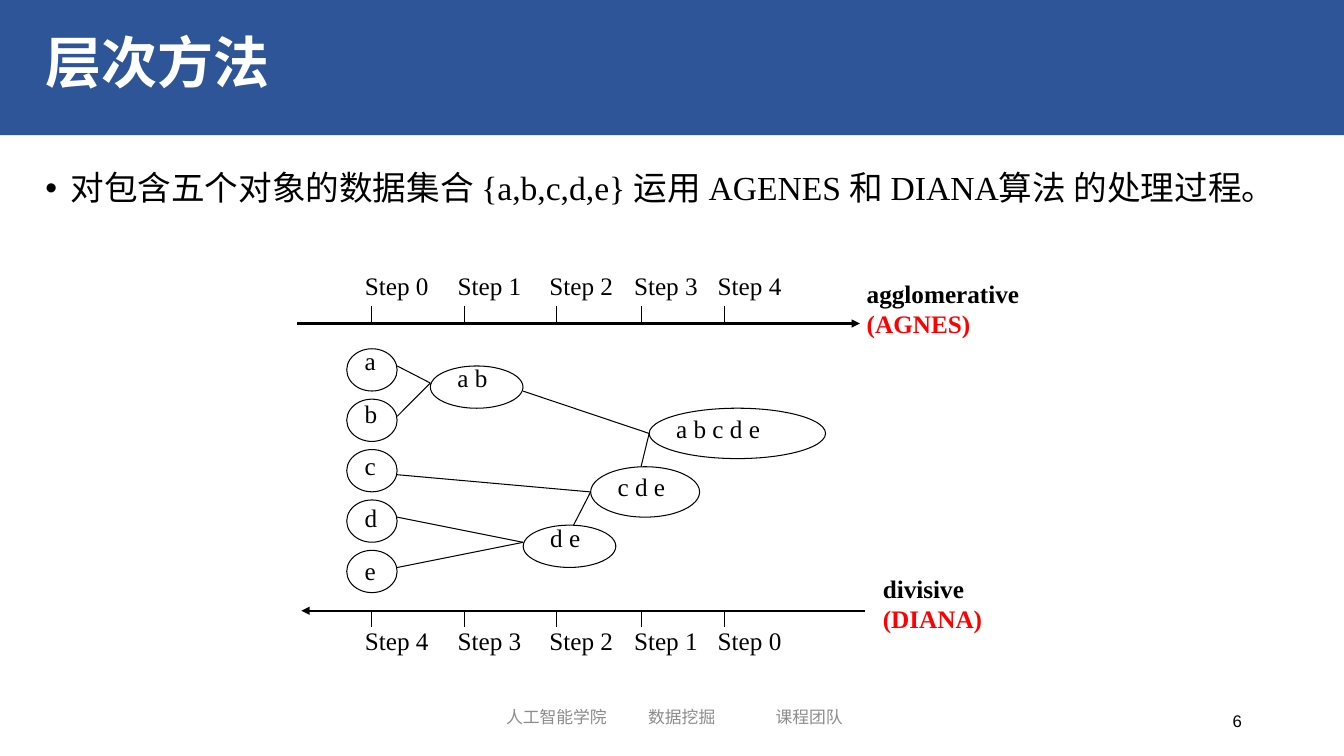
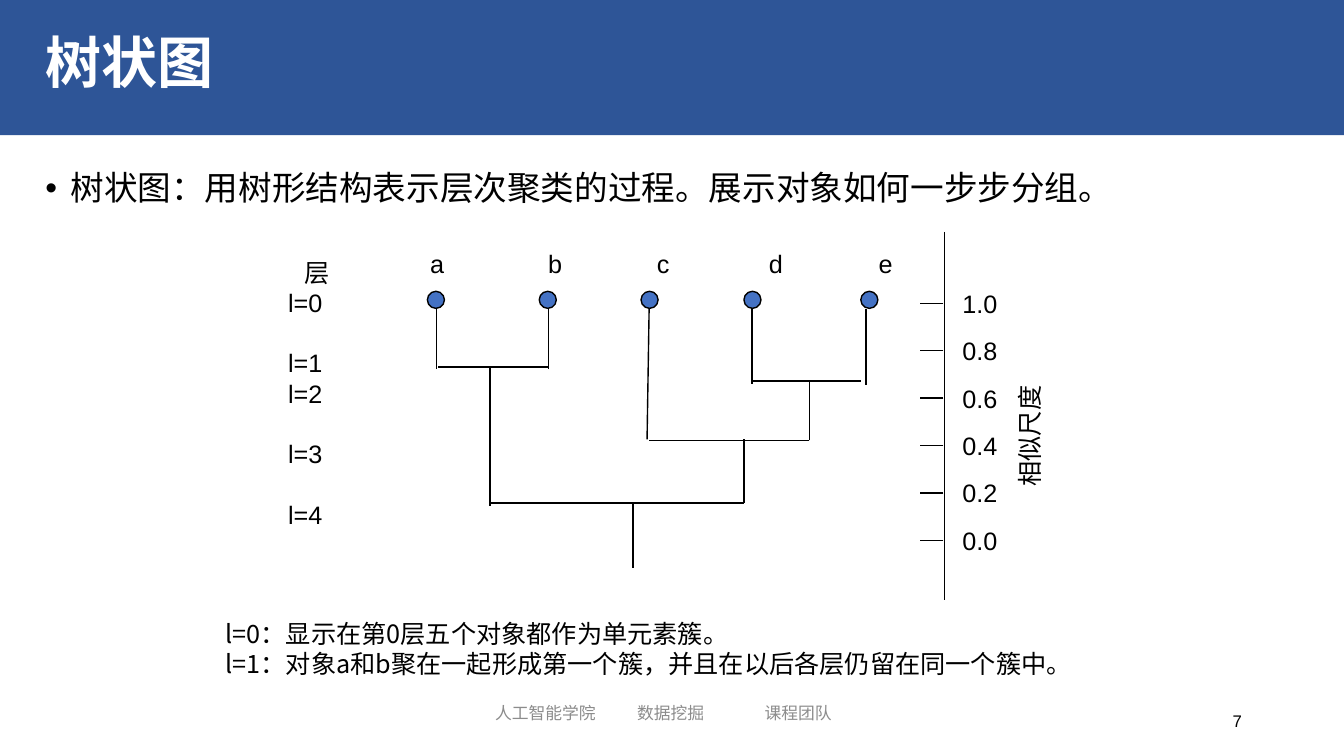
from lxml.etree import SubElement
from pptx import Presentation
from pptx.dml.color import RGBColor
from pptx.enum.shapes import MSO_CONNECTOR, MSO_SHAPE
from pptx.enum.text import MSO_ANCHOR, PP_ALIGN
from pptx.oxml.ns import qn
from pptx.util import Pt

COLORS = {"band": "2E5597", "white": "FFFFFF", "black": "000000",
          "accent": "FF0000", "footer": "8C8C8C", "dot": "4472C4"}
SERIF, SANS, CJK = "Times New Roman", "Arial", "Noto Sans CJK SC"


def write(slide, text, at=None, holder=None, font=SERIF, size=18, colors=("black",),
          bold=False, align=PP_ALIGN.LEFT, anchor=MSO_ANCHOR.TOP, spacing=None,
          bullet=False, tabs=(), rotation=0):
    """Fill a placeholder, or a new text box, with one paragraph per line."""
    box = holder or slide.shapes.add_textbox(*map(Pt, at))
    if rotation:
        box.rotation = rotation
    frame = box.text_frame
    frame.word_wrap = True
    frame.vertical_anchor = anchor
    for i, line in enumerate(text.split("\n")):
        paragraph = frame.paragraphs[0] if i == 0 else frame.add_paragraph()
        paragraph.alignment = align
        paragraph.space_before = Pt(0)
        if spacing:
            paragraph.line_spacing = spacing
        props = paragraph._p.get_or_add_pPr()
        if bullet:
            props.set("marL", str(Pt(18)))
            props.set("indent", str(-Pt(18)))
            SubElement(props, qn("a:buFont"), typeface=SANS)
            SubElement(props, qn("a:buChar"), char="•")
        if tabs:
            stops = SubElement(props, qn("a:tabLst"))
            for stop in tabs:
                SubElement(stops, qn("a:tab"), pos=str(Pt(stop)), algn="l")
        run = paragraph.add_run()
        run.text = line
        run.font.size = Pt(size)
        run.font.bold = bold
        run.font.color.rgb = RGBColor.from_string(COLORS[colors[i % len(colors)]])
        run.font.name = font
        SubElement(run.font._element, qn("a:ea"), typeface=CJK)
    return frame


def draw_line(slide, x1, y1, x2, y2, width=0.75, arrow=False):
    connector = slide.shapes.add_connector(
        MSO_CONNECTOR.STRAIGHT, Pt(x1), Pt(y1), Pt(x2), Pt(y2))
    connector.line.color.rgb = RGBColor.from_string(COLORS["black"])
    connector.line.width = Pt(width)
    if arrow:
        SubElement(connector.line._get_or_add_ln(), qn("a:tailEnd"), type="triangle")
    SubElement(connector._element.spPr, qn("a:effectLst"))


prs = Presentation()
prs.slide_width, prs.slide_height = Pt(960), Pt(540)

# Shared layout: title and body places
layout = prs.slide_layouts[1]
for holder, place in zip(layout.placeholders, [(25.2, 10.8, 815.8, 72),
                                               (25.2, 107.3, 897.1, 377.3)]):
    holder.left, holder.top, holder.width, holder.height = map(Pt, place)

# Title, bullet, number and footer of each slide
pages = [
    ("层次方法", "对包含五个对象的数据集合 {a,b,c,d,e} 运用 AGENES 和 DIANA算法 的处理过程。",
     "6", (319.7, 497.5)),
    ("树状图", "树状图：用树形结构表示层次聚类的过程。展示对象如何一步步分组。",
     "7", (311.8, 494.6)),
]
slides = []
for title, point, number, footer_corner in pages:
    slide = prs.slides.add_slide(layout)
    slides.append(slide)
    write(slide, title, holder=slide.shapes.title, size=40, colors=["white"], bold=True,
          anchor=MSO_ANCHOR.MIDDLE, spacing=0.9)
    write(slide, point, holder=slide.placeholders[1], size=24, spacing=1.3, bullet=True)
    write(slide, number, (678.2, 500.4, 216, 28.8), font=SANS, size=12,
          align=PP_ALIGN.RIGHT, anchor=MSO_ANCHOR.MIDDLE)
    footer = write(slide, "人工智能学院\t数据挖掘\t课程团队", (*footer_corner, 324, 28.8),
                   font="Calibri", size=12, colors=["footer"],
                   anchor=MSO_ANCHOR.MIDDLE, tabs=(101.5, 192.5))
    footer.margin_left = Pt(41.8)
hierarchy, dendrogram = slides

# Title band, moved to the back of the layout
band = hierarchy.shapes.add_shape(MSO_SHAPE.RECTANGLE, 0, 0, Pt(960), Pt(96.5))
band.shadow.inherit = False
band.fill.solid()
band.fill.fore_color.rgb = RGBColor.from_string(COLORS["band"])
band.line.fill.background()
layout.shapes.element.insert(2, band.element)

# Step axes: merging runs right, splitting runs left
draw_line(hierarchy, 212.4, 231.1, 614.2, 231.1, width=1.5, arrow=True)
draw_line(hierarchy, 617.8, 436.3, 215.3, 436.3, width=1.5, arrow=True)
for step, tick_x in enumerate([265.7, 331.9, 397.4, 457.9, 517.7]):
    for number, tick_y, label_y in [(step, 218.5, 189.6), (4 - step, 436, 443)]:
        draw_line(hierarchy, tick_x, tick_y, tick_x, tick_y + 12)
        write(hierarchy, f"Step {number}", (tick_x - 12.1, label_y, 60, 28.8))
write(hierarchy, "agglomerative\n(AGNES)", (612, 195.1, 140, 51),
      colors=["black", "accent"], bold=True)
write(hierarchy, "divisive\n(DIANA)", (623.5, 406.1, 140, 51),
      colors=["black", "accent"], bold=True)

# Clusters: label, label corner, ellipse place
clusters = [(name, 253.4, 243.4 + 37.4 * i, 247.7, 249.1 + 36 * i, 36, 30.2)
            for i, name in enumerate("abcde")]
for name, x, y, width, height in [("a b", 307.4, 261.4, 66.2, 30.2),
                                  ("d e", 373.7, 375.1, 66.2, 30.2),
                                  ("c d e", 421.9, 333.4, 77.8, 36),
                                  ("a b c d e", 463.7, 291.6, 126, 36)]:
    clusters.append((name, x + 12.2, y + height - 36, x, y, width, height))
for name, label_x, label_y, *place in clusters:
    write(hierarchy, name, (label_x, label_y, 80, 28.8))
    ellipse = hierarchy.shapes.add_shape(MSO_SHAPE.OVAL, *map(Pt, place))
    ellipse.shadow.inherit = False
    ellipse.fill.background()
    ellipse.line.color.rgb = RGBColor.from_string(COLORS["black"])
    ellipse.line.width = Pt(0.75)

# Links between clusters
for link in [(283.7, 261.4, 307.4, 273.6), (283.7, 297.4, 307.4, 273.6),
             (283.7, 369.4, 373.7, 387.4), (283.7, 405.4, 373.7, 387.4),
             (283.7, 339.1, 421.9, 351.4), (409.7, 375.1, 421.9, 351.4),
             (373.7, 279.4, 463.7, 309.6), (457.9, 333.4, 463.7, 309.6)]:
    draw_line(hierarchy, *link)

# Similarity scale
draw_line(dendrogram, 674.6, 165.6, 674.6, 428.4, width=1)
for i in range(6):
    tick_y = 216.7 + 33.84 * i
    draw_line(dendrogram, 673.9, tick_y, 657.4, tick_y, width=1)
    write(dendrogram, f"{1 - i / 5:.1f}", (680.4, tick_y - 14.4, 50, 28.8), font=SANS)
write(dendrogram, "相似尺度", (684.7, 289.4, 101.5, 28.8), font=SANS, rotation=270)

# Level names, with gaps where the levels lie apart
levels = write(dendrogram, "层\nl=0\nl=1\nl=2\nl=3\nl=4", (198.7, 180, 61.9, 225.4),
               font=SANS)
levels.paragraphs[0]._p.get_or_add_pPr().set("marL", str(Pt(12)))
for i in (2, 4, 5):
    levels.paragraphs[i].space_before = Pt(21.6)

# Branches
for branch in [(392, 263.5, 392, 219.6), (311.8, 263.5, 311.8, 218.2),
               (392, 262.1, 313.2, 262.1), (618.5, 275, 618.5, 221),
               (614.9, 272.2, 537.1, 272.2), (537.1, 274.3, 537.1, 220.3),
               (578.2, 314.6, 578.2, 272.2), (578.2, 314.6, 463.7, 314.6),
               (462.2, 313.9, 463.7, 218.9), (349.9, 262.1, 349.9, 361.4),
               (349.9, 359.3, 531.4, 359.3), (531.4, 359.3, 531.4, 313.9),
               (452.2, 405.4, 452.2, 360)]:
    draw_line(dendrogram, *branch, width=1)

# Objects at the leaves
for name, label_x, label_y, dot_x in [("a", 300.2, 174.2, 305.3), ("b", 384.5, 174.2, 385.2),
                                      ("c", 462.2, 173.5, 457.9), ("d", 542.2, 173.5, 531.4),
                                      ("e", 620.6, 174.2, 614.9)]:
    write(dendrogram, name, (label_x, label_y, 50, 28.8), font=SANS)
    dot = dendrogram.shapes.add_shape(MSO_SHAPE.OVAL, Pt(dot_x), Pt(208.1), Pt(12.2), Pt(12.2))
    dot.shadow.inherit = False
    dot.fill.solid()
    dot.fill.fore_color.rgb = RGBColor.from_string(COLORS["dot"])
    dot.line.color.rgb = RGBColor.from_string(COLORS["black"])
    dot.line.width = Pt(1)

# Explanation of the levels
write(dendrogram, "l=0：显示在第0层五个对象都作为单元素簇。\n"
      "l=1：对象a和b聚在一起形成第一个簇，并且在以后各层仍留在同一个簇中。",
      (154.1, 437.8, 616.3, 51), font=CJK)

prs.save("out.pptx")
